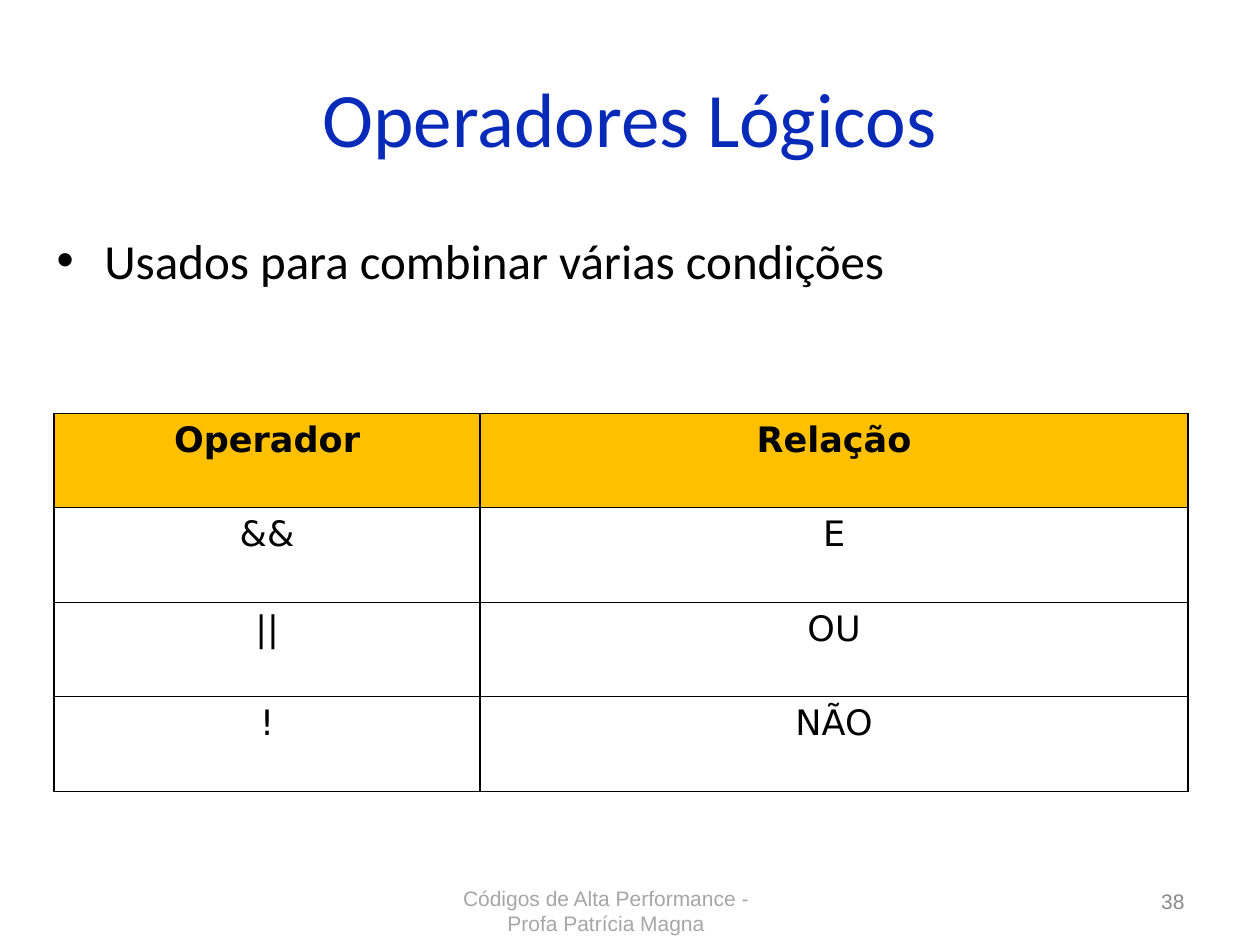
from lxml.etree import SubElement as Sub
from pptx import Presentation
from pptx.dml.color import RGBColor
from pptx.enum.text import MSO_ANCHOR as Anchor, PP_ALIGN as Align
from pptx.oxml.ns import qn
from pptx.util import Inches, Pt

BLACK = "000000"
ROWS = [("Operador", "Relação"), ("&&", "E"), ("||", "OU"), ("!", "NÃO")]


def color(code):
    """Turn a hex string into a colour."""
    return RGBColor.from_string(code)


def apply(item, vals):
    """Set each attribute named in a dict."""
    for name, val in vals.items():
        setattr(item, name, val)


def write(para, text, font, size, code, align=Align.LEFT, bold=False):
    """Put one styled run in a paragraph."""
    para.alignment = align
    run = para.add_run()
    run.text = text
    apply(run.font, {"name": font, "size": Pt(size), "bold": bold})
    run.font.color.rgb = color(code)


def label(slide, box, text, *style, anchor=Anchor.MIDDLE):
    """Place a wrapped text box and return its paragraph."""
    frame = slide.shapes.add_textbox(*map(Inches, box)).text_frame
    apply(frame, {"word_wrap": True, "vertical_anchor": anchor})
    para = frame.paragraphs[0]
    write(para, text, *style)
    return para


def bullet(slide, box, text):
    """Place a bulleted line with a hanging indent."""
    para = label(slide, box, text, "Calibri", 28, BLACK, anchor=Anchor.TOP)
    para.space_before = Pt(5.6)
    props = para._p.get_or_add_pPr()
    props.set("marL", str(Inches(0.38)))
    props.set("indent", str(Inches(-0.38)))
    Sub(props, qn("a:buFont"), typeface="Arial")
    Sub(props, qn("a:buChar"), char="•")


def edge(cell, side, width):
    """Draw one black border of a cell."""
    line = Sub(cell._tc.get_or_add_tcPr(), qn(f"a:ln{side}"), w=str(Pt(width)))
    fill = Sub(line, qn("a:solidFill"))
    Sub(fill, qn("a:srgbClr"), val=BLACK)


def grid(slide, box, rows, widths):
    """Place the operator table with a coloured head row."""
    last = len(rows) - 1
    table = slide.shapes.add_table(len(rows), len(widths), *map(Inches, box)).table
    apply(table, {"first_row": False, "horz_banding": False})
    for col, width in zip(table.columns, widths):
        col.width = Inches(width)
    for r, row in enumerate(rows):
        table.rows[r].height = Inches(box[3] / len(rows))
        sides = {"L": 1, "R": 1, "T": 0.75 if r else 1, "B": 0.75 if r < last else 1}
        for c, text in enumerate(row):
            cell = table.cell(r, c)
            for side, width in sides.items():
                edge(cell, side, width)
            cell.fill.solid()
            cell.fill.fore_color.rgb = color("FFFFFF" if r else "FFC000")
            para = cell.text_frame.paragraphs[0]
            write(para, text, "DejaVu Sans", 20, BLACK, Align.CENTER, r == 0)


def footer(slide, box, num):
    """Place the course name and the page number at the foot."""
    left, top, width, height = box
    label(slide, (left, top, 2.58, height),
          "Códigos de Alta Performance - Profa Patrícia Magna",
          "Arial", 12, "A6A6A6", Align.CENTER)
    label(slide, (left + width - 2.33, top, 2.33, 0.4), num,
          "Arial", 12, "898989", Align.RIGHT)


def main():
    """Build and save the slide."""
    deck = Presentation()
    apply(deck, {"slide_width": Inches(10), "slide_height": Inches(7.5)})
    slide = deck.slides.add_slide(deck.slide_layouts[6])
    label(slide, (0.5, 0.3, 9, 1.25), "Operadores Lógicos",
          "Calibri", 44, "082AB8", Align.CENTER)
    bullet(slide, (0.35, 1.78, 8.99, 1.1), "Usados para combinar várias condições")
    grid(slide, (0.43, 3.28, 9, 3), ROWS, (3.38, 5.62))
    footer(slide, (3.52, 6.95, 5.98, 0.55), "38")
    deck.save("out.pptx")


if __name__ == "__main__":
    main()
